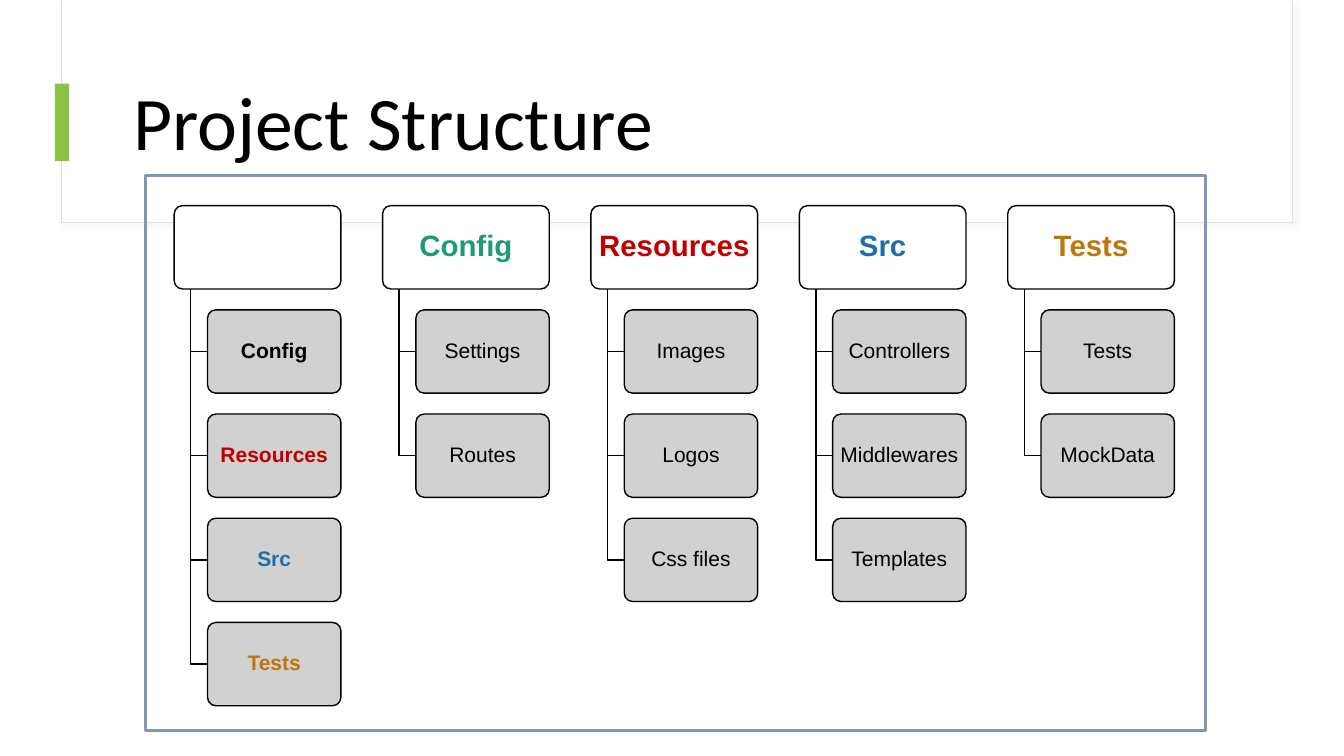
import pptx
import pptx.util
import pptx.dml.color
import pptx.enum.shapes
import pptx.enum.text
import pptx.oxml
import pptx.oxml.ns

Pt = pptx.util.Pt
KIND = pptx.enum.shapes.MSO_SHAPE
ALIGN = pptx.enum.text.PP_ALIGN
ANCHOR = pptx.enum.text.MSO_ANCHOR
BLACK, WHITE, GREY = "000000", "FFFFFF", "CCCCCC"
RED, BLUE, GOLD, GREEN = "C00000", "1D6FA9", "BC770B", "1D9A78"

TREES = [
    ("", BLACK, [("Config", BLACK), ("Resources", RED), ("Src", BLUE), ("Tests", GOLD)]),
    ("Config", GREEN, ["Settings", "Routes"]),
    ("Resources", RED, ["Images", "Logos", "Css files"]),
    ("Src", BLUE, ["Controllers", "Middlewares", "Templates"]),
    ("Tests", GOLD, ["Tests", "MockData"]),
]


def color(code):
    return pptx.dml.color.RGBColor.from_string(code)


def paint(shape, fill=None, line=None, width=1, alpha=None):
    shape.shadow.inherit = False
    if fill:
        shape.fill.solid()
        shape.fill.fore_color.rgb = color(fill)
    else:
        shape.fill.background()
    if alpha:
        tint = shape._element.spPr.find(".//" + pptx.oxml.ns.qn("a:srgbClr"))
        node = pptx.oxml.ns.qn("a:alpha")
        tint.append(tint.makeelement(node, {"val": str(alpha * 1000)}))
    if line:
        shape.line.color.rgb = color(line)
        shape.line.width = Pt(width)
    else:
        shape.line.fill.background()


def block(shapes, box, kind=KIND.RECTANGLE, **look):
    shape = shapes.add_shape(kind, *map(Pt, box))
    paint(shape, **look)
    return shape


def write(shape, text, size=15, font="Arial", ink=BLACK, bold=False,
          align=ALIGN.CENTER, pad=None):
    frame = shape.text_frame
    frame.word_wrap = True
    frame.auto_size = pptx.enum.text.MSO_AUTO_SIZE.NONE
    frame.vertical_anchor = ANCHOR.MIDDLE
    if pad is not None:
        frame.margin_left = frame.margin_right = Pt(pad)
        frame.margin_top = frame.margin_bottom = Pt(pad)
    para = frame.paragraphs[0]
    para.alignment = align
    para.line_spacing = 0.9
    run = para.add_run()
    run.text = text
    run.font.size = Pt(size)
    run.font.name = font
    run.font.bold = bold
    run.font.color.rgb = color(ink)


def cast(shape):
    ns = pptx.oxml.ns.nsdecls("a")
    glow = pptx.oxml.parse_xml(
        f'<a:outerShdw {ns} blurRad="{Pt(4)}" dist="{Pt(3)}" dir="2700000">'
        '<a:srgbClr val="D9D9D9"><a:alpha val="20000"/></a:srgbClr></a:outerShdw>')
    shape._element.spPr.find(pptx.oxml.ns.qn("a:effectLst")).append(glow)


def header(slide, box):
    left, top, width, height = box
    cast(block(slide.shapes, box, fill=WHITE, line="E1E1E1", width=0.75))
    block(slide.shapes, (left + 0.5, top, width - 1, height - 0.5), fill=WHITE)
    title = slide.shapes.title
    title.left, title.top = Pt(left + 44), Pt(top + 43.2)
    title.width, title.height = Pt(800.6), Pt(92.9)
    write(title, "Project Structure", size=54, font="Calibri", align=ALIGN.LEFT)
    slide.shapes._spTree.append(title._element)
    block(slide.shapes, (left - 4.7, top + 59.8, 10.1, 55.4), fill="8BC145")


def elbow(shapes, start, end):
    (left, top), (right, low) = start, end
    pen = shapes.build_freeform(Pt(left), Pt(top))
    pen.add_line_segments([(Pt(left), Pt(low)), (Pt(right), Pt(low))], close=False)
    paint(pen.convert_to_shape(), line=BLACK)


def node(shapes, box, text, **look):
    fill, alpha = look.pop("fill"), look.pop("alpha", None)
    shape = block(shapes, box, KIND.ROUNDED_RECTANGLE, fill=fill, line=BLACK, alpha=alpha)
    shape.adjustments[0] = 0.1
    if text:
        write(shape, text, pad=1, **look)


def branch(shapes, box, head, ink, items):
    left, top, width, height = box
    node(shapes, box, head, fill=WHITE, size=21, ink=ink, bold=True)
    inner = left + 0.2 * width
    for row, item in enumerate(items, 1):
        text, tone = item if isinstance(item, tuple) else (item, BLACK)
        y = top + row * 1.25 * height
        elbow(shapes, (left + 0.1 * width, top + height), (inner, y + height / 2))
        node(shapes, (inner, y, 0.8 * width, height), text, fill=GREY, alpha=90,
             ink=tone, bold=isinstance(item, tuple))


def chart(slide, box):
    left, top, width, height = box
    shapes = slide.shapes.add_group_shape().shapes
    tall = 59.54
    for col, tree in enumerate(TREES):
        x = left + 20.6 + col * 2.5 * tall
        branch(shapes, (x, top + 21.6, 2 * tall, tall), *tree)
    block(slide.shapes, box, line="8497B0", width=2.25)


def main():
    deck = pptx.Presentation()
    deck.slide_width, deck.slide_height = Pt(960), Pt(540)
    slide = deck.slides.add_slide(deck.slide_layouts[5])
    header(slide, (44, 0, 879, 159))
    chart(slide, (103.8, 125.3, 757.2, 396.4))
    deck.save("out.pptx")


if __name__ == "__main__":
    main()
